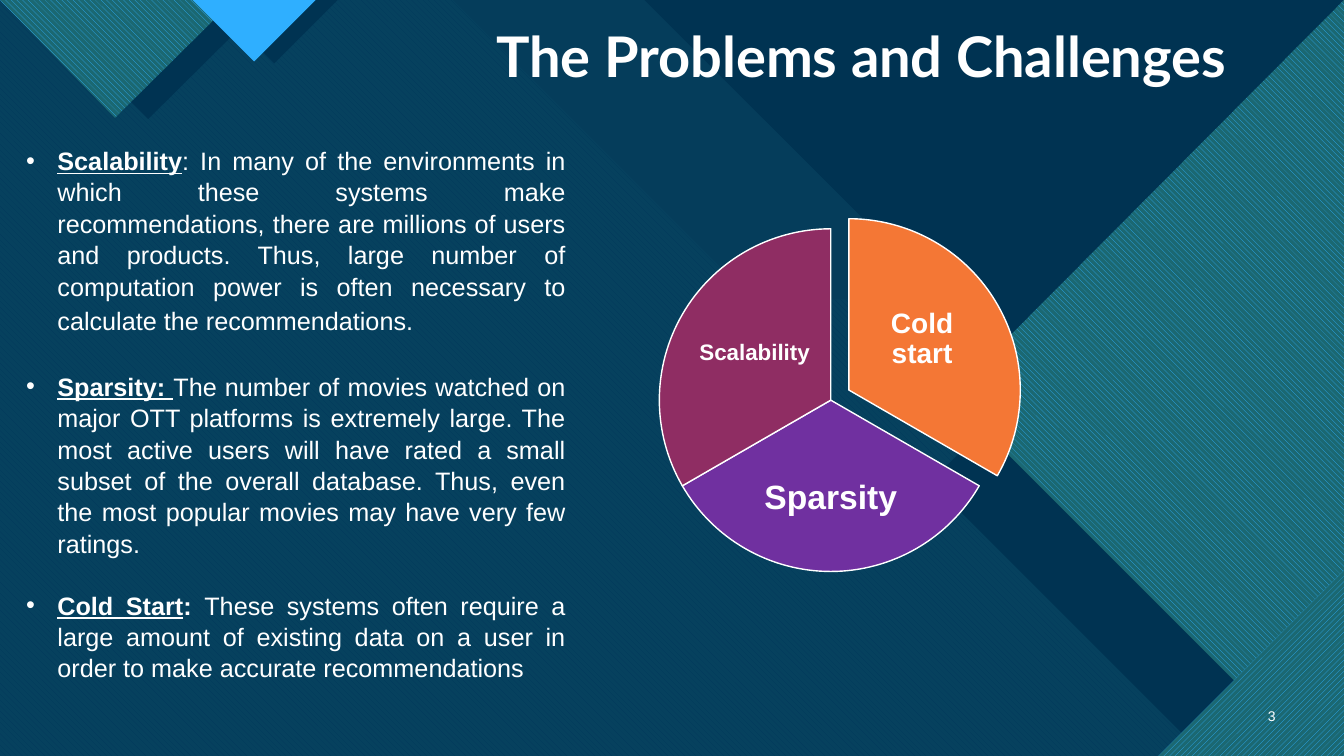
from dataclasses import dataclass

from lxml import etree
from pptx import Presentation, dml, util as u
from pptx.dml.color import RGBColor
from pptx.enum import dml as fills, shapes, text
from pptx.oxml import ns

WIDTH, HEIGHT = 13.33, 7.5
COLOURS = {
    "base": "0C4360", "navy": "003352", "teal": "1B6872", "aqua": "47C3D3",
    "ocean": "0065A4", "sky": "2FAFFF", "white": "FFFFFF",
    "orange": "F47735", "purple": "7030A0", "plum": "8F2D63",
}
DOWN = fills.MSO_PATTERN.WIDE_DOWNWARD_DIAGONAL
UP = fills.MSO_PATTERN.WIDE_UPWARD_DIAGONAL


@dataclass
class Panel:
    points: list[tuple[float, float]]
    colour: str
    opacity: int = 100
    pattern: fills.MSO_PATTERN | None = None
    back: str = "teal"


@dataclass
class Slice:
    label: str
    colour: str
    start: int  # degrees clockwise from three o'clock
    left: float
    top: float
    label_box: tuple[float, float, float, float]
    size: int
    inset: float = 0.03


@dataclass
class Challenge:
    runs: list[tuple[str, bool, bool, int]]  # wording, bold, underline, size
    gap: float = 0


def rgb(name: str) -> RGBColor:
    return RGBColor.from_string(COLOURS[name])


def style_run(run, size: float, bold: bool = False, font: str = "Arial") -> None:
    run.font.size = u.Pt(size)
    run.font.bold = bold
    run.font.name = font
    run.font.color.rgb = rgb("white")


def place(shape, left: float, top: float, width: float, height: float) -> None:
    shape.left, shape.top = u.Inches(left), u.Inches(top)
    shape.width, shape.height = u.Inches(width), u.Inches(height)


def draw_panel(slide, panel: Panel) -> None:
    corners = [(u.Inches(x), u.Inches(y)) for x, y in panel.points]
    builder = slide.shapes.build_freeform(*corners[0])
    builder.add_line_segments(corners[1:], close=True)
    shape = builder.convert_to_shape()
    shape.shadow.inherit = False
    if panel.pattern is not None:
        shape.fill.patterned()
        shape.fill.pattern = panel.pattern
        shape.fill.fore_color.rgb = rgb(panel.colour)
        shape.fill.back_color.rgb = rgb(panel.back)
    else:
        shape.fill.solid()
        shape.fill.fore_color.rgb = rgb(panel.colour)
    if panel.opacity < 100:
        colour = shape.element.find(".//" + ns.qn("a:srgbClr"))
        alpha = etree.SubElement(colour, ns.qn("a:alpha"))
        alpha.set("val", str(panel.opacity * 1000))
    shape.line.fill.background()


def add_label(slide, wording: str, box: tuple[float, float, float, float],
              size: float, inset: float, align: text.PP_ALIGN, bold: bool) -> None:
    frame = slide.shapes.add_textbox(*map(u.Inches, box)).text_frame
    frame.word_wrap = True
    frame.vertical_anchor = text.MSO_ANCHOR.MIDDLE
    frame.margin_left = frame.margin_right = u.Inches(inset)
    frame.margin_top = frame.margin_bottom = u.Inches(min(inset, 0.05))
    frame.text = wording
    paragraph = frame.paragraphs[0]
    paragraph.alignment = align
    paragraph.line_spacing = 0.9
    style_run(paragraph.runs[0], size, bold)


def draw_slice(slide, piece: Slice) -> None:
    shape = slide.shapes.add_shape(shapes.MSO_SHAPE.PIE, u.Inches(piece.left),
                                   u.Inches(piece.top), u.Inches(3.4), u.Inches(3.4))
    # One degree is 0.6 adjustment units; each slice spans 120 degrees
    shape.adjustments[0] = piece.start * 0.6
    shape.adjustments[1] = (piece.start + 120) % 360 * 0.6
    shape.shadow.inherit = False
    shape.fill.solid()
    shape.fill.fore_color.rgb = rgb(piece.colour)
    shape.line.color.rgb = rgb("white")
    shape.line.width = u.Pt(1)
    add_label(slide, piece.label, piece.label_box, piece.size, piece.inset,
              text.PP_ALIGN.CENTER, True)


def fill_title(title) -> None:
    place(title, 4.82, 0, 8.51, 0.94)
    frame = title.text_frame
    frame.text = "The Problems and Challenges"
    frame.auto_size = text.MSO_AUTO_SIZE.NONE
    frame.vertical_anchor = text.MSO_ANCHOR.BOTTOM
    paragraph = frame.paragraphs[0]
    paragraph.alignment = text.PP_ALIGN.LEFT
    paragraph.line_spacing = 0.9
    style_run(paragraph.runs[0], 40, True, "Lato")


def fill_body(body, challenges: list[Challenge]) -> None:
    place(body, 0.16, 1.38, 5.55, 5.32)
    frame = body.text_frame
    frame.auto_size = text.MSO_AUTO_SIZE.NONE
    frame.vertical_anchor = text.MSO_ANCHOR.TOP
    for index, challenge in enumerate(challenges):
        paragraph = frame.add_paragraph() if index else frame.paragraphs[0]
        paragraph.alignment = text.PP_ALIGN.JUSTIFY
        paragraph.line_spacing = 1.04
        paragraph.space_before = u.Pt(challenge.gap)
        paragraph.space_after = u.Pt(0)
        for wording, bold, underline, size in challenge.runs:
            run = paragraph.add_run()
            run.text = wording
            style_run(run, size, bold)
            run.font.underline = underline
        # Hanging bullet in the text colour
        properties = paragraph._p.get_or_add_pPr()
        properties.set("marL", str(u.Inches(0.31)))
        properties.set("indent", str(-u.Inches(0.31)))
        etree.SubElement(properties, ns.qn("a:buFont")).set("typeface", "Arial")
        etree.SubElement(properties, ns.qn("a:buChar")).set("char", "•")


PANELS = [
    # Wide bands across the background
    Panel([(0, 0), (8.26, 0), (11.23, 2.97), (12.35, 2.97), (WIDTH, 3.96),
           (WIDTH, HEIGHT), (0, HEIGHT)], "aqua", 74),
    Panel([(0, 0), (4.49, 0), (7.46, 2.97), (8.72, 2.97), (13.25, HEIGHT),
           (0, HEIGHT)], "ocean", pattern=DOWN, back="aqua"),
    Panel([(6.39, 0), (WIDTH, 0), (WIDTH, 6.93)], "navy"),
    Panel([(0, 0), (6.95, 0), (9.92, 2.97), (11.18, 2.97), (WIDTH, 5.13),
           (WIDTH, HEIGHT), (0, HEIGHT)], "navy", 90),
    # Right-hand triangles with their shades
    Panel([(WIDTH, 0.68), (WIDTH, HEIGHT), (11.95, HEIGHT), (9.23, 4.78)], "navy"),
    Panel([(WIDTH, 0), (WIDTH, HEIGHT), (12.99, HEIGHT), (9.42, 3.93)],
          "sky", pattern=DOWN),
    Panel([(WIDTH, 6.14), (WIDTH, HEIGHT), (11.97, HEIGHT)], "navy"),
    Panel([(WIDTH, 5.66), (WIDTH, HEIGHT), (11.49, HEIGHT)], "sky", pattern=UP),
    # Top-left triangles with their shades
    Panel([(2.66, 0), (1.47, 1.18), (0.29, 0)], "navy"),
    Panel([(0, 0), (1.14, 1.17), (2.32, 0)], "sky", pattern=DOWN),
    Panel([(3.35, 0), (2.72, 0.63), (2.09, 0)], "navy"),
    Panel([(1.91, 0), (2.52, 0.61), (3.13, 0)], "sky"),
]
SLICES = [
    Slice("Cold start", "orange", 270, 6.72, 2.17, (8.57, 2.8, 1.15, 1.13), 20),
    Slice("Sparsity", "purple", 30, 6.54, 2.27, (7.47, 4.42, 1.54, 1.05), 24),
    Slice("Scalability", "plum", 150, 6.54, 2.27, (6.91, 2.94, 1.15, 1.13), 16, 0.02),
]
CHALLENGES = [
    Challenge([("Scalability", True, True, 18),
               (": In many of the environments in which these systems make "
                "recommendations, there are millions of users and products. Thus, "
                "large number of computation power is often necessary to calculate "
                "the recommendations.", False, False, 18), (" ", False, False, 20)]),
    Challenge([("Sparsity: ", True, True, 18),
               ("The number of movies watched on major OTT platforms is extremely "
                "large. The most active users will have rated a small subset of the "
                "overall database. Thus, even the most popular movies may have very "
                "few ratings.", False, False, 18)], 24),
    Challenge([("Cold Start", True, True, 18), (": ", True, False, 18),
               ("These systems often require a large amount of existing data on a "
                "user in order to make accurate recommendations", False, False, 18)], 21.6),
]


def main() -> None:
    presentation = Presentation()
    presentation.slide_width = u.Inches(WIDTH)
    presentation.slide_height = u.Inches(HEIGHT)
    slide = presentation.slides.add_slide(presentation.slide_layouts[1])
    slide.background.fill.solid()
    slide.background.fill.fore_color.rgb = rgb("base")
    for panel in PANELS:
        draw_panel(slide, panel)
    # Title and list stand in front of the background panels
    title, body = slide.shapes.title, slide.placeholders[1]
    for placeholder in (title, body):
        placeholder.element.getparent().append(placeholder.element)
    fill_title(title)
    fill_body(body, CHALLENGES)
    for piece in SLICES:
        draw_slice(slide, piece)
    # Slide number
    add_label(slide, "3", (12.31, 6.91, 0.44, 0.4), 10, 0.1, text.PP_ALIGN.RIGHT, False)
    presentation.save("out.pptx")


if __name__ == "__main__":
    main()
